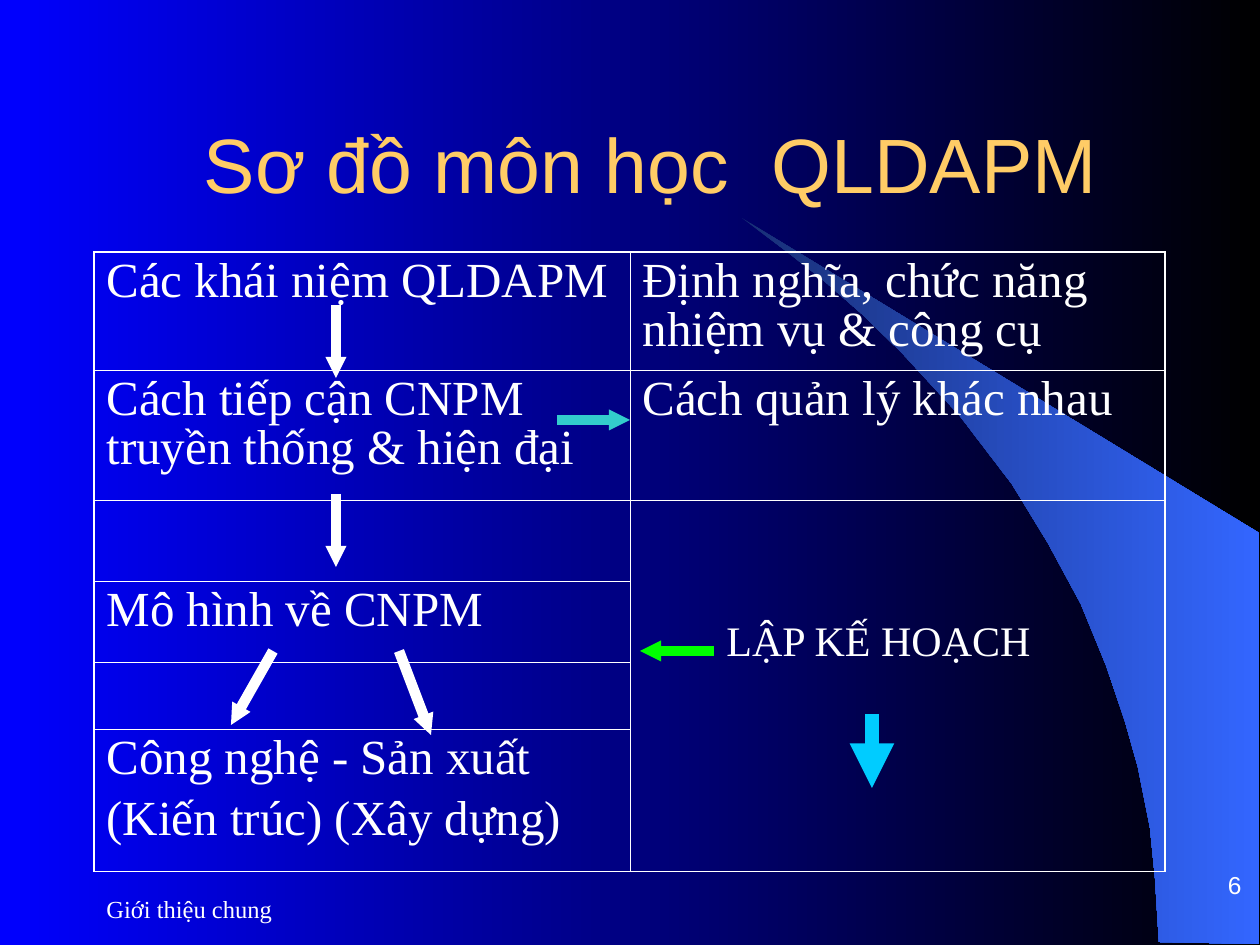
from lxml import etree
from pptx import Presentation
from pptx import util as u
from pptx.dml.color import RGBColor
from pptx.enum import shapes, text
from pptx.oxml import ns

PX = 914400 / 126
WHITE = RGBColor(0xFF, 0xFF, 0xFF)
BLACK = RGBColor(0x00, 0x00, 0x00)
BLUE = RGBColor(0x00, 0x00, 0xFF)
GOLD = RGBColor(0xFF, 0xCC, 0x66)
NAVY = RGBColor(0x18, 0x2F, 0x76)
AZURE = RGBColor(0x33, 0x66, 0xFF)
TEAL = RGBColor(0x33, 0xCC, 0xCC)
GREEN = RGBColor(0x00, 0xFF, 0x00)
SKY = RGBColor(0x00, 0xCC, 0xFF)
SERIF, SANS = "Times New Roman", "Arial"

SWEEP = [(1159, 942), (1259, 944), (1259, 533), (742, 218), (786, 251),
         (823, 280), (863, 315), (902, 353), (960, 416), (1012, 484),
         (1048, 543), (1081, 604), (1106, 665), (1125, 721), (1138, 767),
         (1150, 827), (1155, 877)]
COLUMNS = [536, 535]
ROWS = [118, 130, 81, 81, 67, 142]
TOPICS = {
    (0, 0): ["Các khái niệm QLDAPM"],
    (0, 1): ["Định nghĩa, chức năng nhiệm vụ & công cụ"],
    (1, 0): ["Cách tiếp cận CNPM truyền thống & hiện đại"],
    (1, 1): ["Cách quản lý khác nhau"],
    (3, 0): ["Mô hình về CNPM"],
    (5, 0): ["Công nghệ - Sản xuất", "(Kiến trúc) (Xây dựng)"],
}
ARROWS = [
    ((557, 420), (630, 420), TEAL, 6, "sm"),
    ((714, 651), (640, 651), GREEN, 6, "sm"),
    ((273, 651), (231, 725), WHITE, 6, "sm"),
    ((336, 494), (336, 567), WHITE, 6, "sm"),
    ((399, 651), (431, 735), WHITE, 6, "sm"),
    ((336, 305), (336, 378), WHITE, 6, "sm"),
    ((872, 714), (872, 788), SKY, 8.5, "med"),
]


def emu(*lengths):
    """Turn px lengths into EMU."""
    return [u.Emu(round(length * PX)) for length in lengths]


def set_all(target, values):
    """Set each attribute of the target from a dict."""
    for name, value in values.items():
        setattr(target, name, value)


def set_gradient(fill, start, end):
    """Fill from left to right between two colours."""
    fill.gradient()
    fill.gradient_angle = 0
    for stop, position, color in zip(fill.gradient_stops, (0, 1), (start, end)):
        stop.position = position
        stop.color.rgb = color


def write(para, words, size, face, color=WHITE, **layout):
    """Write one paragraph in one style."""
    set_all(para, layout)
    span = para.add_run()
    span.text = words
    set_all(span.font, {"size": u.Pt(size), "name": face})
    span.font.color.rgb = color


def add_label(page, area, words, size, face, color=WHITE,
              anchor=text.MSO_ANCHOR.MIDDLE, align=text.PP_ALIGN.LEFT, inset=6):
    """Add a one-line text box."""
    box = page.shapes.add_textbox(*emu(*area))
    pad = emu(inset)[0]
    set_all(box.text_frame, {"word_wrap": True, "vertical_anchor": anchor,
                             "margin_top": pad, "margin_bottom": pad})
    write(box.text_frame.paragraphs[0], words, size, face, color, alignment=align)


def add_sweep(page):
    """Add the curved blue sweep."""
    builder = page.shapes.build_freeform(*SWEEP[0], scale=PX)
    builder.add_line_segments(SWEEP[1:], close=True)
    sweep = builder.convert_to_shape()
    sweep.shadow.inherit = False
    sweep.line.fill.background()
    set_gradient(sweep.fill, NAVY, AZURE)


def set_borders(cell, outer):
    """Draw white cell borders, thicker on the outer sides."""
    props = cell._tc.get_or_add_tcPr()
    for side in "LRTB":
        width = u.Pt(1.08 if side in outer else 0.45)
        line = etree.SubElement(props, ns.qn(f"a:ln{side}"), w=str(width))
        solid = etree.SubElement(line, ns.qn("a:solidFill"))
        etree.SubElement(solid, ns.qn("a:srgbClr"), val=str(WHITE))


def add_topics(page):
    """Add the table of course topics."""
    frame = page.shapes.add_table(len(ROWS), len(COLUMNS),
                                  *emu(94, 252, sum(COLUMNS), sum(ROWS)))
    table = frame.table
    set_all(table, {"first_row": False, "horz_banding": False})
    for column, width in zip(table.columns, emu(*COLUMNS)):
        column.width = width
    for row, height in zip(table.rows, emu(*ROWS)):
        row.height = height
    last = len(ROWS) - 1
    for r in range(len(ROWS)):
        for c in range(len(COLUMNS)):
            cell = table.cell(r, c)
            set_borders(cell, "LR"[c] + {0: "T", last: "B"}.get(r, ""))
            cell.fill.background()
            for i, words in enumerate(TOPICS.get((r, c), [])):
                body = cell.text_frame
                para = body.add_paragraph() if i else body.paragraphs[0]
                write(para, words, 28, SERIF, line_spacing=0.9,
                      space_before=u.Pt(7 if i else 0))
    table.cell(2, 1).merge(table.cell(last, 1))


def add_arrow(page, start, end, color, width, head):
    """Add a straight arrow."""
    arrow = page.shapes.add_connector(shapes.MSO_CONNECTOR.STRAIGHT,
                                      *emu(*start, *end))
    arrow.line.color.rgb = color
    arrow.line.width = u.Pt(width)
    etree.SubElement(arrow.line._get_or_add_ln(), ns.qn("a:tailEnd"),
                     type="triangle", w=head, len=head)
    etree.SubElement(arrow._element.spPr, ns.qn("a:effectLst"))


def main():
    """Build the course map slide."""
    deck = Presentation()
    width, height = emu(1260, 945)
    set_all(deck, {"slide_width": width, "slide_height": height})
    page = deck.slides.add_slide(deck.slide_layouts[6])
    set_gradient(page.background.fill, BLUE, BLACK)
    add_sweep(page)
    add_label(page, (94, 877, 588, 63), "Giới thiệu chung", 14, SERIF)
    add_label(page, (992, 847, 262, 53), "6", 14, SANS, inset=0,
              anchor=text.MSO_ANCHOR.BOTTOM, align=text.PP_ALIGN.RIGHT)
    add_label(page, (94, 84, 1114, 158), "Sơ đồ môn học  QLDAPM", 44, SANS, GOLD,
              align=text.PP_ALIGN.CENTER)
    add_topics(page)
    add_label(page, (714, 609, 399, 63), "LẬP KẾ HOẠCH", 24, SERIF,
              anchor=text.MSO_ANCHOR.TOP)
    for arrow in ARROWS:
        add_arrow(page, *arrow)
    deck.save("out.pptx")


if __name__ == "__main__":
    main()
